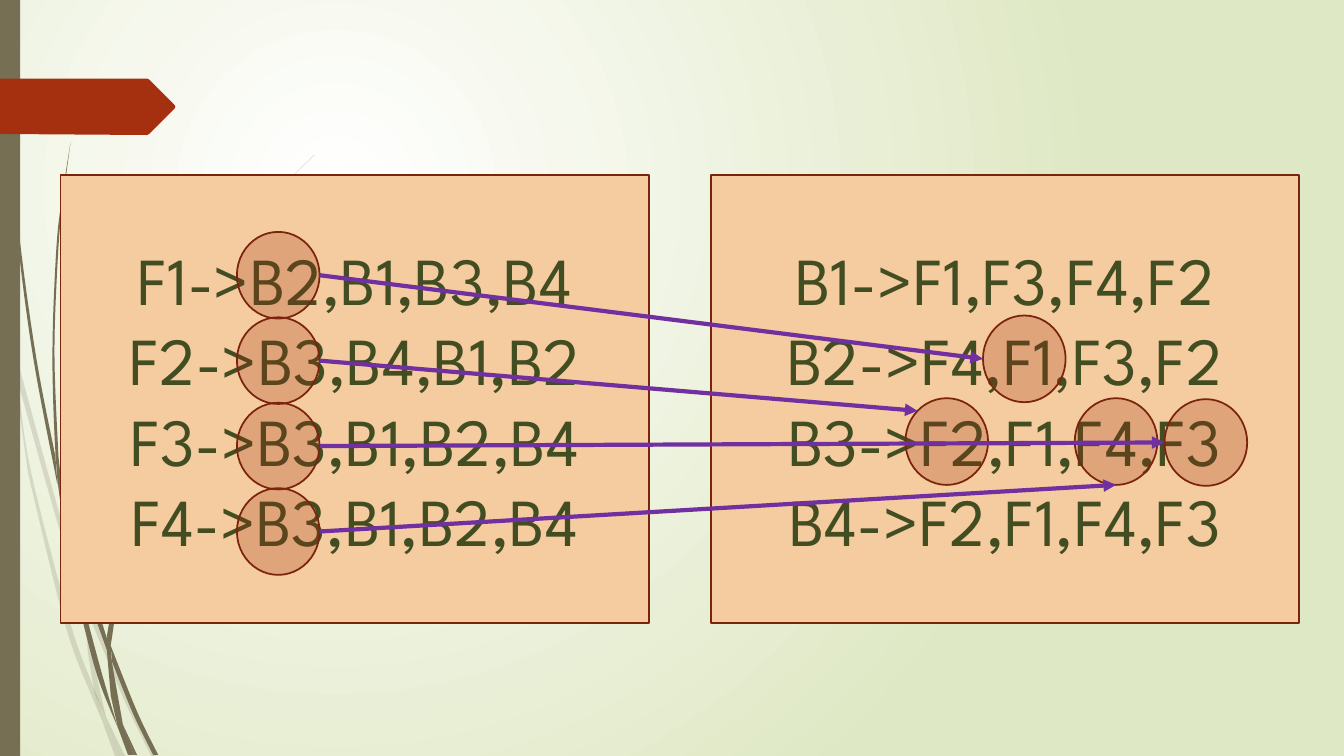
import math
from dataclasses import dataclass

import pptx
import pptx.dml.color
import pptx.enum.dml
import pptx.enum.shapes
import pptx.enum.text
import pptx.oxml.ns
import pptx.util
from lxml import etree

SLIDE_WIDTH = pptx.util.Inches(13.33)
SLIDE_HEIGHT = pptx.util.Inches(7.5)
GRID = pptx.util.Inches(0.01)  # one column or row of the fine grid for the stems


@dataclass(frozen=True)
class Theme:
    font: str = "League Spartan"
    text_size: int = 48
    text: str = "424D22"
    back_inner: str = "FFFFFF"
    back_outer: str = "DFE8C4"
    stem: str = "766F54"
    accent: str = "A53010"
    panel: str = "F5CBA0"
    outline: str = "7A240C"
    arrow: str = "7030A0"
    outline_width: float = 1.25
    arrow_width: float = 3
    faint_opacity: int = 20
    mark_opacity: int = 25


THEME = Theme()

# Preference lists
PANEL_TOP, PANEL_WIDTH, PANEL_HEIGHT = 23.2, 43.8, 59.2
PANELS = [
    (4.5, ["F1->B2,B1,B3,B4", "F2->B3,B4,B1,B2", "F3->B3,B1,B2,B4", "F4->B3,B1,B2,B4"]),
    (52.88, ["B1->F1,F3,F4,F2", "B2->F4,F1,F3,F2", "B3->F2,F1,F4,F3", "B4->F2,F1,F4,F3"]),
]

# Marks in shares of the slide; each proposal runs from a first choice to its match
MARK_WIDTH, MARK_HEIGHT = 6.15, 11.47
CHOICE_LEFT, CHOICE_TOP, CHOICE_STEP = 17.63, 30.67, 11.3
# Left and top of each match, and the angle where its arrow lands (clockwise from right)
MATCHES = [(73.14, 41.73, 180), (67.37, 52.67, 225), (86.65, 52.8, 180), (79.97, 52.67, 90)]

# Stems: nodes down one edge, then nodes back along the other
FAINT_STEMS = [
    ([(11, 350), (9, 322), (0, 282)], [(0, 299), (10, 344)]),
    ([(14, 345), (62, 520), (85, 586)], [(84, 599), (58, 522), (17, 376)]),
    ([(88, 596), (92, 607), (127, 692), (155, 750)], [(150, 750), (123, 694), (88, 610)]),
    ([(105, 711), (124, 750)], [(119, 750)]),
    ([(11, 350), (17, 376), (31, 469), (70, 619), (93, 683), (101, 714)],
     [(92, 693), (65, 621), (28, 470)]),
    ([(84, 599), (88, 610), (91, 646), (105, 711)], [(96, 692), (93, 683), (87, 646)]),
    ([(85, 584), (107, 461), (158, 348), (228, 244), (268, 197), (312, 153)],
     [(312, 154), (268, 198), (229, 245), (160, 349), (110, 462), (88, 584), (88, 596), (85, 586)]),
    ([(93, 683), (105, 711), (119, 750)], [(114, 750), (101, 714)]),
]
DARK_STEMS = [
    ([(3, 0), (7, 110), (17, 233), (33, 355), (57, 481)],
     [(55, 453), (36, 355), (19, 232), (8, 109), (4, 0)]),
    ([(60, 472), (93, 590), (106, 633)], [(106, 645), (88, 592), (64, 505)]),
    ([(110, 641), (136, 706), (157, 749)], [(152, 749), (132, 708), (111, 656)]),
    ([(57, 477), (64, 505), (72, 556), (98, 657), (117, 722)], [(111, 708), (93, 659), (68, 557)]),
    ([(70, 141), (62, 193), (56, 245), (52, 349), (55, 449), (60, 472)],
     [(58, 453), (54, 349), (58, 245), (63, 193)]),
    ([(122, 719), (136, 749)], [(133, 749)]),
    ([(55, 449), (60, 472), (64, 505)], [(57, 477)]),
    ([(106, 631), (122, 551), (156, 474), (204, 405), (231, 373), (260, 344)],
     [(261, 344), (231, 374), (205, 406), (158, 476), (125, 552), (111, 633), (110, 641)]),
    ([(117, 722), (131, 749)], [(127, 749)]),
    ([(106, 631), (110, 641), (111, 656), (122, 719)], [(110, 691), (106, 645)]),
    ([(110, 691), (122, 719), (133, 749)], [(130, 749), (117, 722)]),
]
TAG = [(0, 78), (146, 78), (148, 79), (173, 104), (174, 106), (173, 108), (148, 133), (146, 134), (0, 133)]


def across(share):
    return round(SLIDE_WIDTH * share / 100)


def down(share):
    return round(SLIDE_HEIGHT * share / 100)


def rgb(value):
    return pptx.dml.color.RGBColor.from_string(value)


def add_child(parent, tag, **attributes):
    return etree.SubElement(parent, pptx.oxml.ns.qn(tag), attributes)


def paint(shape, color, opacity=100, outlined=False):
    shape.shadow.inherit = False
    shape.fill.solid()
    shape.fill.fore_color.rgb = rgb(color)
    if opacity < 100:
        solid = shape.fill._xPr.find(pptx.oxml.ns.qn("a:solidFill"))
        add_child(solid[0], "a:alpha", val=str(opacity * 1000))
    if outlined:
        shape.line.color.rgb = rgb(THEME.outline)
        shape.line.width = pptx.util.Pt(THEME.outline_width)
    else:
        shape.line.fill.background()


def add_preset(page, kind, left, top, width, height):
    return page.shapes.add_shape(kind, across(left), down(top), across(width), down(height))


def add_outline(page, points, color, opacity=100):
    points = [(x * GRID, y * GRID) for x, y in points]
    builder = page.shapes.build_freeform(*points[0])
    builder.add_line_segments(points[1:], close=True)
    paint(builder.convert_to_shape(), color, opacity)


def smooth_edge(nodes, steps=6):
    """Run a Catmull-Rom curve through the nodes."""
    padded = [nodes[0], *nodes, nodes[-1]]
    points = [nodes[0]]
    for a, b, c, d in zip(padded, padded[1:], padded[2:], padded[3:]):
        for t in (step / steps for step in range(1, steps + 1)):
            points.append(tuple(
                (2 * q + (r - p) * t + (2 * p - 5 * q + 4 * r - s) * t ** 2
                 + (3 * q - p - 3 * r + s) * t ** 3) / 2
                for p, q, r, s in zip(a, b, c, d)))
    return points


def add_background(page):
    fill = page.background.fill
    fill.gradient()
    for stop, color in zip(fill.gradient_stops, (THEME.back_inner, THEME.back_outer)):
        stop.color.rgb = rgb(color)
    linear = page.element.find(".//" + pptx.oxml.ns.qn("a:lin"))
    gradient = linear.getparent()
    gradient.remove(linear)
    circle = add_child(gradient, "a:path", path="circle")
    add_child(circle, "a:fillToRect", l="50000", t="50000", r="100000", b="100000")


def add_panel(page, left, lines):
    panel = add_preset(page, pptx.enum.shapes.MSO_SHAPE.RECTANGLE, left, PANEL_TOP, PANEL_WIDTH, PANEL_HEIGHT)
    paint(panel, THEME.panel, outlined=True)
    frame = panel.text_frame
    frame.word_wrap = True
    frame.vertical_anchor = pptx.enum.text.MSO_ANCHOR.MIDDLE
    for index, line in enumerate(lines):
        para = frame.add_paragraph() if index else frame.paragraphs[0]
        para.alignment = pptx.enum.text.PP_ALIGN.CENTER
        span = para.add_run()
        span.text = line
        span.font.name = THEME.font
        span.font.size = pptx.util.Pt(THEME.text_size)
        span.font.color.rgb = rgb(THEME.text)


def add_mark(page, left, top):
    mark = add_preset(page, pptx.enum.shapes.MSO_SHAPE.OVAL, left, top, MARK_WIDTH, MARK_HEIGHT)
    paint(mark, THEME.accent, THEME.mark_opacity, outlined=True)
    return mark


def rim_point(mark, angle):
    turn = math.radians(angle)
    return (round(mark.left + mark.width * (1 + math.cos(turn)) / 2),
            round(mark.top + mark.height * (1 + math.sin(turn)) / 2))


def add_arrow(page, start, end):
    arrow = page.shapes.add_connector(pptx.enum.shapes.MSO_CONNECTOR.STRAIGHT, *start, *end)
    arrow.line.color.rgb = rgb(THEME.arrow)
    arrow.line.width = pptx.util.Pt(THEME.arrow_width)
    add_child(arrow.line._get_or_add_ln(), "a:tailEnd", type="triangle")
    add_child(arrow.element.spPr, "a:effectLst")


def main():
    deck = pptx.Presentation()
    deck.slide_width, deck.slide_height = SLIDE_WIDTH, SLIDE_HEIGHT
    page = deck.slides.add_slide(deck.slide_layouts[6])

    # Backdrop: gradient, stems, side bar and tag
    add_background(page)
    for stems, opacity in ((FAINT_STEMS, THEME.faint_opacity), (DARK_STEMS, 100)):
        for near, far in stems:
            add_outline(page, smooth_edge(near) + smooth_edge(far), THEME.stem, opacity)
    paint(add_preset(page, pptx.enum.shapes.MSO_SHAPE.RECTANGLE, 0, 0, 1.5, 100), THEME.stem)
    add_outline(page, TAG, THEME.accent)

    # Preference lists
    for left, lines in PANELS:
        add_panel(page, left, lines)

    # First choices, their matches and the proposals between them
    choices = [add_mark(page, CHOICE_LEFT, CHOICE_TOP + row * CHOICE_STEP) for row in range(len(MATCHES))]
    matches = [add_mark(page, left, top) for left, top, _ in MATCHES]
    for choice, match, (_, _, angle) in zip(choices, matches, MATCHES):
        add_arrow(page, rim_point(choice, 0), rim_point(match, angle))

    deck.save("out.pptx")


main()
